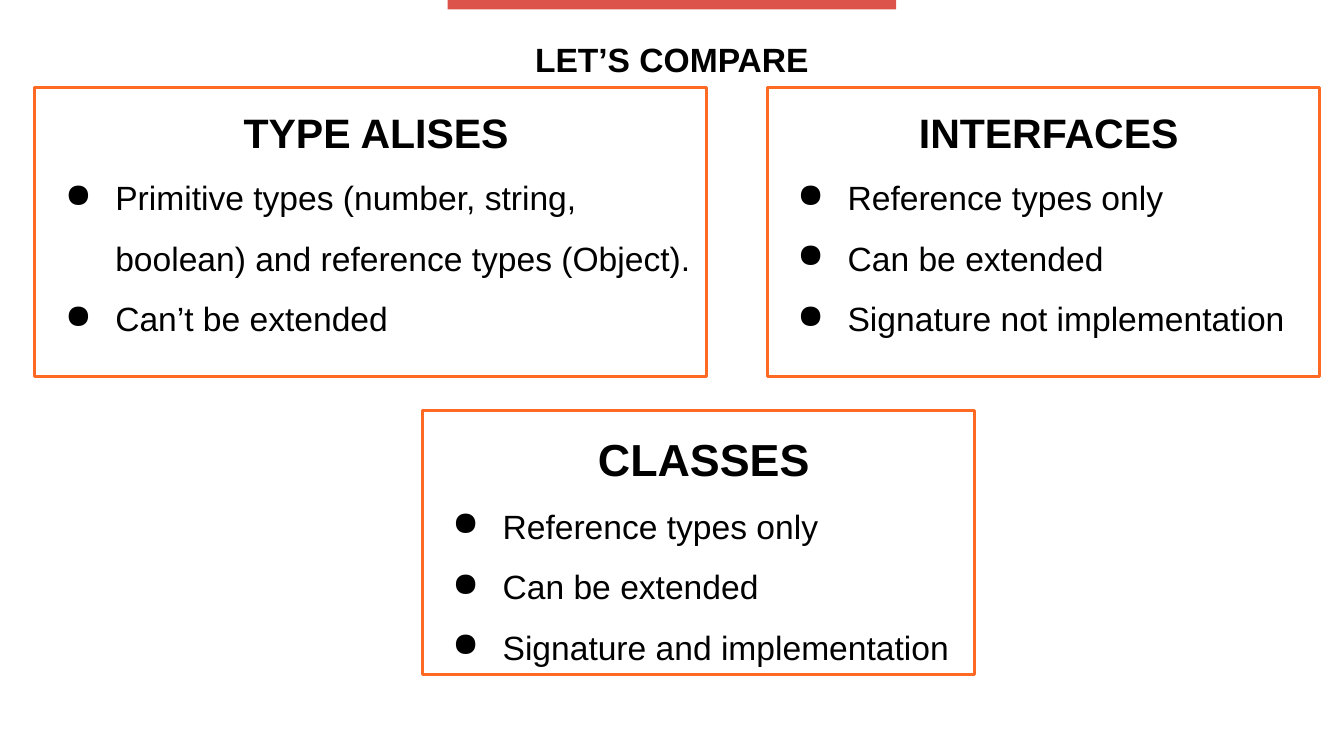
"""Build a slide comparing type aliases, interfaces and classes."""
from lxml import etree
from pptx import Presentation
from pptx.dml.color import RGBColor
from pptx.enum.shapes import MSO_SHAPE
from pptx.enum.text import MSO_ANCHOR, PP_ALIGN
from pptx.oxml.ns import qn
from pptx.util import Cm, Pt

RECTANGLE = MSO_SHAPE.RECTANGLE
TOP, MIDDLE = MSO_ANCHOR.TOP, MSO_ANCHOR.MIDDLE
LEFT, CENTER = PP_ALIGN.LEFT, PP_ALIGN.CENTER
BLACK, RED, ORANGE = "000000", "DC534C", "FE6A23"
CARD_TOP, CARD_WIDTH, CARD_HEIGHT = 1.65, 10.44, 5.46


def color(value):
    return RGBColor.from_string(value)


def apply_format(target, values):
    for name, value in values.items():
        setattr(target, name, value)


def prepare_frame(box, anchor):
    frame = box.text_frame
    margins = {f"margin_{side}": Cm(0.25) for side in ("left", "right", "top", "bottom")}
    apply_format(frame, {"word_wrap": True, "vertical_anchor": anchor, **margins})
    return frame


def write_para(para, text, size, bold, align, spacing):
    apply_format(para, {"alignment": align, "line_spacing": spacing})
    span = para.add_run()
    span.text = text
    apply_format(span.font, {"name": "Arial", "size": Pt(size), "bold": bold})
    span.font.color.rgb = color(BLACK)


def indent(para, left, first=0):
    properties = para._p.get_or_add_pPr()
    properties.set("marL", str(Cm(left)))
    properties.set("indent", str(Cm(first)))
    return properties


def add_bullet(para):
    properties = indent(para, 1.27, -0.95)
    bullet_color = etree.SubElement(properties, qn("a:buClr"))
    etree.SubElement(bullet_color, qn("a:srgbClr"), val=BLACK)
    etree.SubElement(properties, qn("a:buChar"), char="●")


def add_rectangle(page, left, top, width, height):
    box = page.shapes.add_shape(RECTANGLE, Cm(left), Cm(top), Cm(width), Cm(height))
    box.shadow.inherit = False
    return box


def add_accent_bar(page):
    bar = add_rectangle(page, 8.46, 0, 8.48, 0.18)
    bar.fill.solid()
    bar.fill.fore_color.rgb = color(RED)
    bar.line.fill.background()


def add_title(page, text):
    box = page.shapes.add_textbox(Cm(1.65), Cm(0), Cm(22.1), Cm(2.08))
    frame = prepare_frame(box, MIDDLE)
    write_para(frame.paragraphs[0], text, 18, True, CENTER, 1.2)


def add_card(page, place, heading, heading_size, points):
    box = add_rectangle(page, *place)
    box.fill.background()
    box.line.color.rgb = color(ORANGE)
    box.line.width = Pt(1.5)
    frame = prepare_frame(box, TOP)
    heading_para = frame.paragraphs[0]
    write_para(heading_para, heading, heading_size, True, CENTER, 1.15)
    indent(heading_para, 0.2)
    for point in points:
        para = frame.add_paragraph()
        write_para(para, point, 18, False, LEFT, 1.5)
        add_bullet(para)


def main():
    deck = Presentation()
    apply_format(deck, {"slide_width": Cm(25.4), "slide_height": Cm(14.28)})
    page = deck.slides.add_slide(deck.slide_layouts[6])
    add_accent_bar(page)
    add_title(page, "LET’S COMPARE")
    shared = ["Reference types only", "Can be extended"]
    cards = [
        ((7.98, 7.75, CARD_WIDTH, 5), "CLASSES", 24,
         shared + ["Signature and implementation"]),
        ((0.66, CARD_TOP, 12.7, CARD_HEIGHT), "TYPE ALISES", 22,
         ["Primitive types (number, string, boolean) and reference types (Object).",
          "Can’t be extended"]),
        ((14.5, CARD_TOP, CARD_WIDTH, CARD_HEIGHT), "INTERFACES", 22,
         shared + ["Signature not implementation"]),
    ]
    for card in cards:
        add_card(page, *card)
    deck.save("out.pptx")


main()
